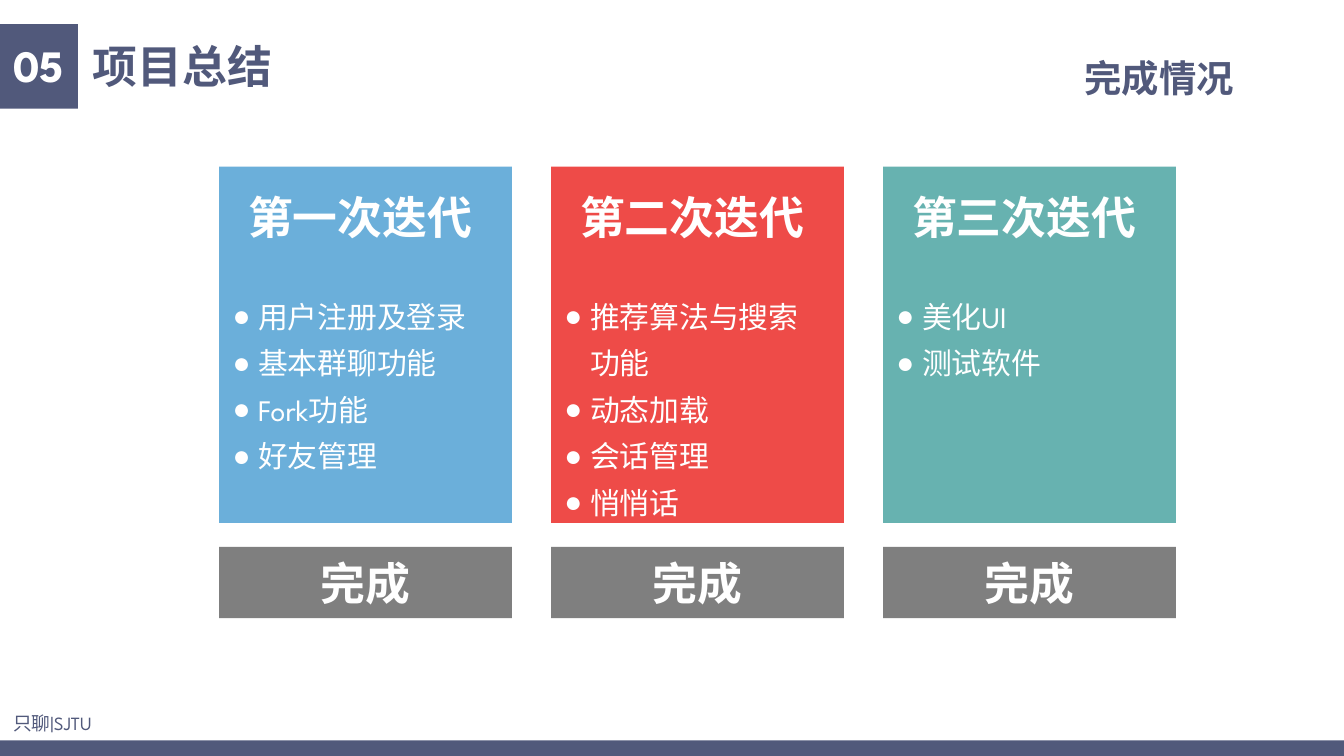
from math import ceil

from lxml import etree
from pptx import Presentation
from pptx.dml.color import RGBColor
from pptx.enum.shapes import MSO_SHAPE
from pptx.enum.text import MSO_ANCHOR, MSO_AUTO_SIZE, PP_ALIGN
from pptx.oxml.ns import qn
from pptx.util import Inches, Pt

RECTANGLE = MSO_SHAPE.RECTANGLE
TOP, MIDDLE = MSO_ANCHOR.TOP, MSO_ANCHOR.MIDDLE
LEFT, CENTER = PP_ALIGN.LEFT, PP_ALIGN.CENTER
NO_AUTOFIT = MSO_AUTO_SIZE.NONE

FONT = "League Spartan"
COMPARISON_LAYOUT = 4  # title, two headings and two content boxes
NAVY = RGBColor(0x51, 0x59, 0x7B)
WHITE = RGBColor(0xFF, 0xFF, 0xFF)
GRAY = RGBColor(0x7F, 0x7F, 0x7F)
BLUE = RGBColor(0x6B, 0xAF, 0xDA)
RED = RGBColor(0xEE, 0x4B, 0x48)
TEAL = RGBColor(0x67, 0xB2, 0xB0)

ITERATIONS = [
    ("第一次迭代", BLUE, ["用户注册及登录", "基本群聊功能", "Fork功能", "好友管理"]),
    ("第二次迭代", RED, ["推荐算法与搜索功能", "动态加载", "会话管理", "悄悄话"]),
    ("第三次迭代", TEAL, ["美化UI", "测试软件"]),
]
STATUS = "完成"
CHARACTERS_PER_LINE = 7
TASK_LINE_HEIGHT = 0.35


def add_block(slide, left, top, width, height, color):
    shape = slide.shapes.add_shape(
        RECTANGLE, Inches(left), Inches(top), Inches(width), Inches(height))
    shape.shadow.inherit = False
    shape.fill.solid()
    shape.fill.fore_color.rgb = color
    shape.line.fill.background()
    return shape


def add_text_box(slide, left, top, width, height):
    return slide.shapes.add_textbox(
        Inches(left), Inches(top), Inches(width), Inches(height))


def place(slide, placeholder, left, top, width, height):
    """Move a placeholder into its box and in front of the blocks drawn so far."""
    placeholder.left, placeholder.top = Inches(left), Inches(top)
    placeholder.width, placeholder.height = Inches(width), Inches(height)
    slide.shapes._spTree.append(placeholder._element)
    return placeholder


def add_bullet(paragraph):
    properties = paragraph._p.get_or_add_pPr()
    properties.set("marL", str(Inches(0.19)))
    properties.set("indent", str(Inches(-0.19)))
    bullet_color = etree.SubElement(properties, qn("a:buClr"))
    etree.SubElement(bullet_color, qn("a:srgbClr")).set("val", str(WHITE))
    etree.SubElement(properties, qn("a:buChar")).set("char", "●")


def write(shape, lines, size, color, bold=False, align=LEFT, anchor=TOP,
          spacing=1.0, wrap=False, bullets=False):
    frame = shape.text_frame
    frame.text = "\n".join(lines)
    frame.word_wrap = wrap
    frame.auto_size = NO_AUTOFIT
    frame.vertical_anchor = anchor
    for paragraph in frame.paragraphs:
        if bullets:
            add_bullet(paragraph)
        paragraph.alignment = align
        paragraph.line_spacing = spacing
        paragraph.space_before = Pt(0)
        for run in paragraph.runs:
            run.font.name = FONT
            run.font.size = Pt(size)
            run.font.bold = bold
            run.font.color.rgb = color


def add_footer(slide, left, top, width):
    add_block(slide, left, top + 0.26, width, 0.12, NAVY)
    write(add_text_box(slide, left, top, 0.88, 0.27), ["只聊|SJTU"], 10, NAVY)


def add_header(slide, heading, left, top):
    # Section number
    add_block(slide, left, top, 0.58, 0.63, NAVY)
    number = add_text_box(slide, left, top + 0.1, 0.58, 0.46)
    write(number, ["05"], 24, WHITE, bold=True, spacing=0.9)
    # Title, and heading on the right; no right inset keeps each on one line
    title = place(slide, slide.shapes.title, left + 0.59, top + 0.1, 1.53, 0.46)
    place(slide, heading, left + 7.97, top + 0.22, 1.31, 0.4)
    for shape, text, size in ((title, "项目总结", 24), (heading, "完成情况", 20)):
        write(shape, [text], size, NAVY, bold=True, spacing=0.9)
        shape.text_frame.margin_right = 0


def add_iteration(slide, body, left, top, width, name, color, tasks):
    # Status bar
    status = add_block(slide, left, top + 2.83, width, 0.53, GRAY)
    write(status, [STATUS], 24, WHITE, bold=True, align=CENTER, anchor=MIDDLE, wrap=True)
    # Card with its name and tasks
    add_block(slide, left, top, width, 2.65, color)
    label = add_text_box(slide, left + 0.09, top + 0.12, width - 0.26, 0.5)
    write(label, [name], 24, WHITE, bold=True, align=CENTER, wrap=True)
    line_count = sum(ceil(len(task) / CHARACTERS_PER_LINE) for task in tasks)
    place(slide, body, left, top + 0.85, width - 0.05,
          0.1 + TASK_LINE_HEIGHT * line_count)
    write(body, tasks, 16, WHITE, spacing=1.3, wrap=True, bullets=True)


def main():
    presentation = Presentation()
    presentation.slide_width = Inches(10)
    presentation.slide_height = Inches(10) * 9 // 16
    layout = presentation.slide_layouts[COMPARISON_LAYOUT]
    slide = presentation.slides.add_slide(layout)
    _, heading, *bodies = list(slide.placeholders)

    add_footer(slide, 0, 5.25, 10)
    add_header(slide, heading, 0, 0.18)
    for index, (body, iteration) in enumerate(zip(bodies, ITERATIONS)):
        add_iteration(slide, body, 1.63 + 2.47 * index, 1.24, 2.18, *iteration)

    presentation.save("out.pptx")


if __name__ == "__main__":
    main()
